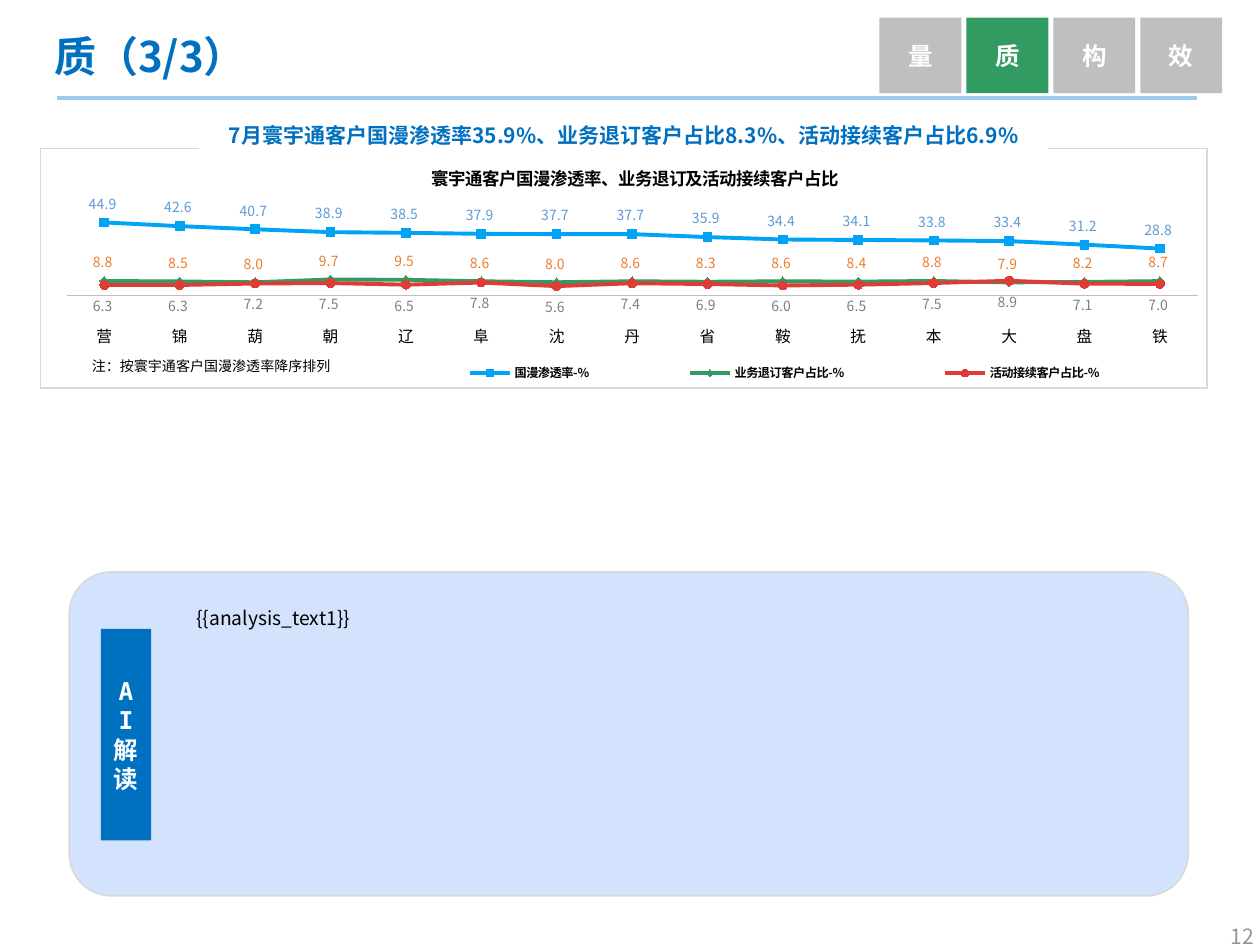
import dataclasses
import lxml.etree
import pptx
import pptx.chart.data
import pptx.dml.color
import pptx.enum.chart
import pptx.enum.shapes
import pptx.enum.text
import pptx.oxml.ns
import pptx.util

Inches, Pt, qn = pptx.util.Inches, pptx.util.Pt, pptx.oxml.ns.qn
MARKER, LABEL = pptx.enum.chart.XL_MARKER_STYLE, pptx.enum.chart.XL_LABEL_POSITION
ALIGN, ANCHOR = pptx.enum.text.PP_ALIGN, pptx.enum.text.MSO_ANCHOR
SHAPE = pptx.enum.shapes.MSO_SHAPE

@dataclasses.dataclass(frozen=True)
class Theme:
    """Fonts, colours and type sizes of the slide."""
    font: str = "Noto Sans CJK SC"
    mono: str = "DejaVu Sans Mono"
    number_font: str = "Noto Sans CJK JP"
    blue: str = "0070C0"
    rule: str = "9ACBEB"
    green: str = "319B62"
    grey: str = "BFBFBF"
    border: str = "D9D9D9"
    panel: str = "D4E3FD"
    page: str = "969696"
    white: str = "FFFFFF"
    black: str = "000000"
    lines: tuple = ("00A3F5", "319B62", "DE3C36")
    labels: tuple = ("5B9BD5", "ED7D31", "7F7F7F")
    title: int = 24
    tab: int = 14
    headline: int = 12
    body: int = 11
    chart_title: int = 10
    category: int = 9
    small: int = 8
    legend: int = 7

THEME = Theme()
TABS = "量质构效"
CITIES = list("营锦葫朝辽阜沈丹省鞍抚本大盘铁")
RED_FORMAT = r"#,##0.0_);[Red]\(#,##0.0\)"
RATES = {
    "国漫渗透率-%": [44.9, 42.6, 40.7, 38.9, 38.5, 37.9, 37.7, 37.7, 35.9, 34.4, 34.1, 33.8, 33.4, 31.2, 28.8],
    "业务退订客户占比-%": [8.8, 8.5, 8.0, 9.7, 9.5, 8.6, 8.0, 8.6, 8.3, 8.6, 8.4, 8.8, 7.9, 8.2, 8.7],
    "活动接续客户占比-%": [6.3, 6.3, 7.2, 7.5, 6.5, 7.8, 5.6, 7.4, 6.9, 6.0, 6.5, 7.5, 8.9, 7.1, 7.0],
}
LOOKS = [(MARKER.SQUARE, LABEL.ABOVE, RED_FORMAT), (MARKER.DIAMOND, LABEL.ABOVE, "#,##0.0_ "),
         (MARKER.CIRCLE, LABEL.BELOW, RED_FORMAT)]

def box(*lengths):
    """Give a position and size in inches."""
    return [Inches(length) for length in lengths]

def paint(fill, color):
    """Fill with one solid colour."""
    fill.solid()
    fill.fore_color.rgb = pptx.dml.color.RGBColor.from_string(color)

def draw_line(line, color, width):
    """Set the colour and width of a line."""
    paint(line.fill, color)
    line.width = Pt(width)

def style_font(font, size, color, bold=False, name=THEME.font):
    """Set the face, size, weight and colour of a font."""
    font.name, font.size, font.bold = name, Pt(size), bold
    paint(font.fill, color)

def write(shape, text, size, color, bold=False, align=ALIGN.LEFT, anchor=ANCHOR.TOP,
          spacing=None, name=THEME.font, wrap=True):
    """Put formatted text into a shape."""
    frame = shape.text_frame
    frame.text, frame.word_wrap, frame.vertical_anchor = text, wrap, anchor
    for paragraph in frame.paragraphs:
        paragraph.alignment, paragraph.line_spacing = align, spacing
        for run in paragraph.runs:
            style_font(run.font, size, color, bold, name)

def add_text(slide, place, *content, **options):
    """Add a text box."""
    write(slide.shapes.add_textbox(*box(*place)), *content, **options)

def add_block(slide, place, fill, line=None, kind=SHAPE.RECTANGLE):
    """Add a filled shape, with a thin outline if a colour is given."""
    block = slide.shapes.add_shape(kind, *box(*place))
    block.shadow.inherit = False
    paint(block.fill, fill)
    if line:
        draw_line(block.line, line, 1)
    else:
        block.line.fill.background()
    return block

def add_rule(slide):
    """Draw the line under the title."""
    straight = pptx.enum.shapes.MSO_CONNECTOR.STRAIGHT
    rule = slide.shapes.add_connector(straight, *box(0.45, 0.78, 9.5, 0.78))
    draw_line(rule.line, THEME.rule, 2.25)
    lxml.etree.SubElement(rule.element.spPr, qn("a:effectLst"))

def add_frame(slide):
    """Add the one-cell table that frames the chart."""
    table = slide.shapes.add_table(1, 1, *box(0.32, 1.18, 9.26, 1.9)).table
    table.first_row = table.horz_banding = False
    cell = table.cell(0, 0)
    properties = cell._tc.get_or_add_tcPr()
    for side in "LRTB":
        edge = lxml.etree.SubElement(properties, qn(f"a:ln{side}"), w=str(Pt(1)))
        fill = lxml.etree.SubElement(edge, qn("a:solidFill"))
        lxml.etree.SubElement(fill, qn("a:srgbClr"), val=THEME.border)
    cell.fill.background()

def set_layout(element, index, inner=False, **fractions):
    """Fix a chart part at fractions of the chart area."""
    for old in element.findall(qn("c:layout")):
        element.remove(old)
    layout = lxml.etree.Element(qn("c:layout"))
    manual = lxml.etree.SubElement(layout, qn("c:manualLayout"))
    settings = {"layoutTarget": "inner"} if inner else {}
    settings.update(xMode="edge", yMode="edge", **fractions)
    for key, value in settings.items():
        lxml.etree.SubElement(manual, qn(f"c:{key}"), val=str(value))
    element.insert(index, layout)

def style_series(series, color, label_color, marker, position, number_format):
    """Format one line, its markers and its labels."""
    series.smooth = False
    draw_line(series.format.line, color, 2.25)
    series.marker.style, series.marker.size = marker, 5
    paint(series.marker.format.fill, color)
    draw_line(series.marker.format.line, color, 0.75)
    labels = series.data_labels
    labels.show_value, labels.position = True, position
    labels.number_format, labels.number_format_is_linked = number_format, False
    style_font(labels.font, THEME.small, label_color)

def style_axes(cities, values):
    """Format the city axis and hide the value axis."""
    tick_labels = pptx.enum.chart.XL_TICK_LABEL_POSITION
    cities.major_tick_mark = pptx.enum.chart.XL_TICK_MARK.NONE
    cities.tick_label_position = tick_labels.LOW
    draw_line(cities.format.line, THEME.grey, 0.75)
    style_font(cities.tick_labels.font, THEME.category, THEME.black)
    values.minimum_scale, values.maximum_scale, values.major_unit = -10, 60, 4
    values.has_major_gridlines = False
    values.tick_label_position = tick_labels.NONE
    values.format.line.fill.background()

def add_rates_chart(slide):
    """Add the line chart of the three rates by city."""
    rates = pptx.chart.data.CategoryChartData()
    rates.categories = CITIES
    for name, values in RATES.items():
        rates.add_series(name, values)
    kind = pptx.enum.chart.XL_CHART_TYPE.LINE_MARKERS
    chart = slide.shapes.add_chart(kind, *box(0.47, 1.18, 9.04, 1.96), rates).chart
    style_font(chart.font, THEME.small, THEME.black)
    chart.plots[0].vary_by_categories = False
    for series, color, label_color, look in zip(chart.plots[0].series, THEME.lines, THEME.labels, LOOKS):
        style_series(series, color, label_color, *look)
    style_axes(chart.category_axis, chart.value_axis)
    heading = chart.chart_title.text_frame
    heading.text = "寰宇通客户国漫渗透率、业务退订及活动接续客户占比"
    style_font(heading.paragraphs[0].runs[0].font, THEME.chart_title, THEME.black, True)
    chart.has_legend = True
    chart.legend.position = pptx.enum.chart.XL_LEGEND_POSITION.BOTTOM
    chart.legend.include_in_layout = False
    style_font(chart.legend.font, THEME.legend, THEME.black, True)
    title, legend, plot = (next(chart.element.iter(qn(f"c:{tag}"))) for tag in ("title", "legend", "plotArea"))
    set_layout(title, 1, x=0.32, y=0.05)
    set_layout(legend, 1, x=0.27, y=0.86, w=0.73, h=0.1)
    set_layout(plot, 0, inner=True, x=0, y=0.2, w=1, h=0.46)
    return chart

def set_east_asian_font(element):
    """Name the Chinese font next to every Latin one."""
    for latin in list(element.iter(qn("a:latin"))):
        latin.addnext(lxml.etree.Element(qn("a:ea"), typeface=THEME.font))

def main():
    """Build the slide and save it."""
    deck = pptx.Presentation()
    deck.slide_width, deck.slide_height = box(10, 7.5)
    slide = deck.slides.add_slide(deck.slide_layouts[5])
    centred = dict(bold=True, align=ALIGN.CENTER)
    title = slide.shapes.title
    title.left, title.top, title.width, title.height = box(0.33, 0.17, 9.47, 0.6)
    write(title, "质（3/3）", THEME.title, THEME.blue, bold=True, anchor=ANCHOR.MIDDLE, spacing=0.9)
    add_text(slide, (9.5, 7.22, 0.55, 0.37), "12", THEME.headline, THEME.page,
             align=ALIGN.RIGHT, spacing=1.3, name=THEME.number_font)
    add_rule(slide)
    add_frame(slide)
    chart = add_rates_chart(slide)
    add_text(slide, (0.63, 2.79, 2.11, 0.24), "注：按寰宇通客户国漫渗透率降序排列", THEME.small, THEME.black, wrap=False)
    headline = add_block(slide, (1.58, 0.92, 6.74, 0.32), THEME.white)
    write(headline, "7月寰宇通客户国漫渗透率35.9%、业务退订客户占比8.3%、活动接续客户占比6.9%",
          THEME.headline, THEME.blue, **centred)
    for index, name in enumerate(TABS):
        tab = add_block(slide, (6.98 + 0.69 * index, 0.14, 0.65, 0.6), THEME.green if name == "质" else THEME.grey)
        write(tab, name, THEME.tab, THEME.white, anchor=ANCHOR.MIDDLE, **centred)
    panel = add_block(slide, (0.55, 4.54, 8.88, 2.57), THEME.panel, THEME.border, SHAPE.ROUNDED_RECTANGLE)
    panel.adjustments[0] = 0.13
    add_text(slide, (1.46, 4.67, 7.65, 2.33), "{{analysis_text1}}", THEME.body, THEME.black, spacing=1.5)
    reading = add_block(slide, (0.8, 4.99, 0.4, 1.68), THEME.blue)
    write(reading, "AI解\n读", THEME.tab, THEME.white, anchor=ANCHOR.MIDDLE, name=THEME.mono, **centred)
    for element in (slide.element, chart.element):
        set_east_asian_font(element)
    deck.save("out.pptx")

if __name__ == "__main__":
    main()
